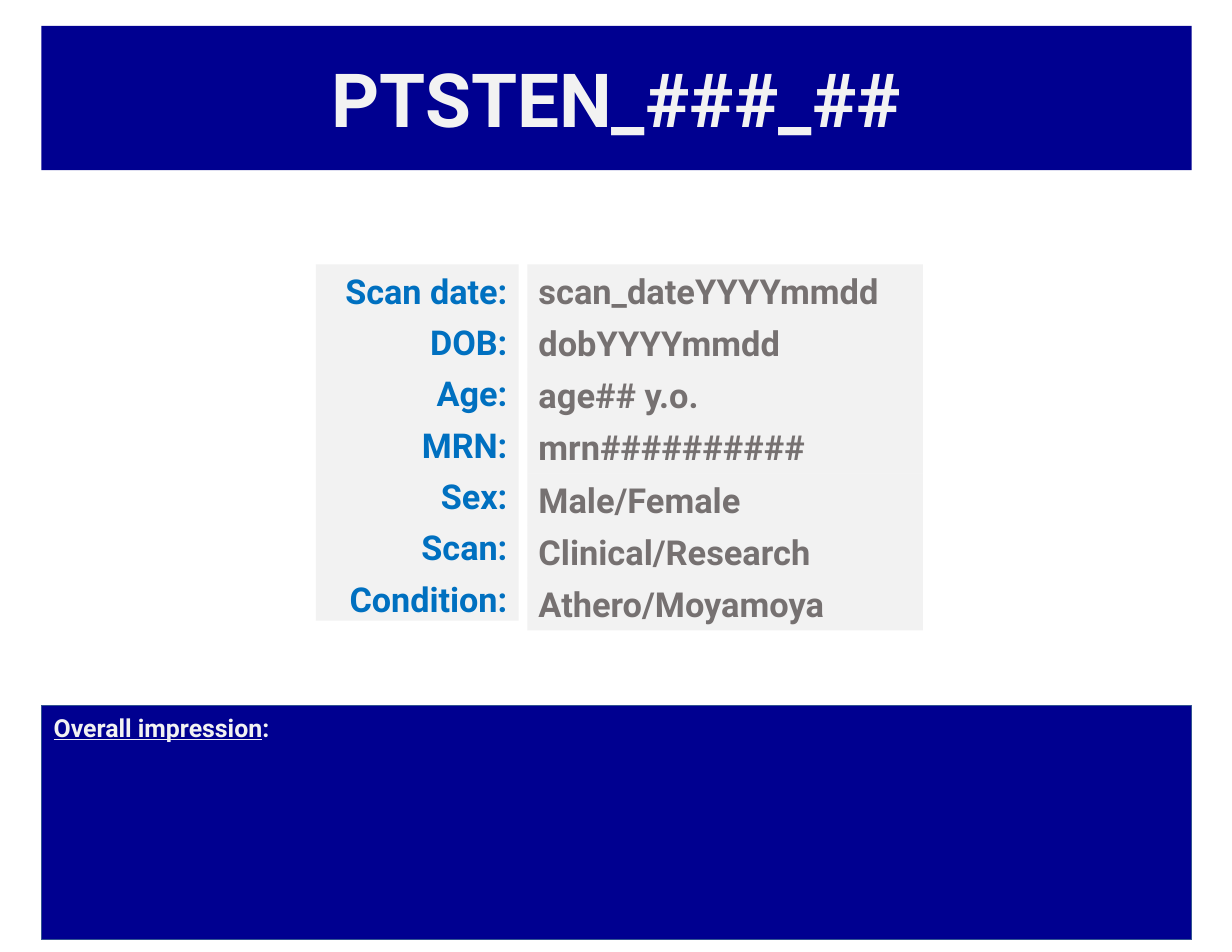
from dataclasses import dataclass

from lxml import etree
from pptx import Presentation
from pptx.dml.color import RGBColor as RGB
from pptx.enum.shapes import MSO_SHAPE as SHAPE
from pptx.enum.text import MSO_ANCHOR as ANCHOR, MSO_AUTO_SIZE as FIT, PP_ALIGN as ALIGN
from pptx.oxml.ns import qn
from pptx.util import Inches, Pt


@dataclass(frozen=True)
class Theme:
    font: str = "Roboto"
    navy: RGB = RGB(0x00, 0x00, 0x90)
    border: RGB = RGB(0x32, 0x54, 0x91)
    pale: RGB = RGB(0xF2, 0xF2, 0xF2)
    label: RGB = RGB(0x00, 0x70, 0xC0)
    value: RGB = RGB(0x76, 0x71, 0x71)
    title_size: float = 48
    label_size: float = 22
    value_size: float = 22.1
    note_size: float = 16


theme = Theme()


def add_text(p, text, *, size, color, align=ALIGN.LEFT, after=0, underline=False):
    p.alignment = align
    p.line_spacing = 1
    p.space_before = Pt(0)
    p.space_after = Pt(after)
    r = p.add_run()
    r.text = text
    r.font.name = theme.font
    r.font.size = Pt(size)
    r.font.bold = True
    r.font.underline = underline
    r.font.color.rgb = color


def set_box(sp, left, top, width, height, fill, anchor=ANCHOR.TOP, fit=FIT.NONE):
    sp.left, sp.top, sp.width, sp.height = map(Inches, (left, top, width, height))
    sp.fill.solid()
    sp.fill.fore_color.rgb = fill
    sp.line.fill.background()
    tf = sp.text_frame
    tf.word_wrap = True
    tf.auto_size = fit
    tf.vertical_anchor = anchor
    return tf


prs = Presentation()
prs.slide_width, prs.slide_height = Inches(11), Inches(8.5)
s = prs.slides.add_slide(prs.slide_layouts[1])
title, labels = s.placeholders

tf = set_box(title, 0.37, 0.23, 10.27, 1.29, theme.navy, ANCHOR.MIDDLE)
add_text(tf.paragraphs[0], "PTSTEN_###_##", size=theme.title_size,
         color=theme.pale, align=ALIGN.CENTER)

impression = s.shapes.add_shape(SHAPE.RECTANGLE, 0, 0, 0, 0)
impression.shadow.inherit = False
tf = set_box(impression, 0.37, 6.3, 10.27, 2.09, theme.navy)
impression.line.color.rgb = theme.border
impression.line.width = Pt(1)
tf.margin_left = tf.margin_right = Inches(0.11)
tf.margin_top = tf.margin_bottom = Inches(0.06)
p = tf.paragraphs[0]
add_text(p, "Overall impression", size=theme.note_size, color=theme.pale, underline=True)
add_text(p, ":", size=theme.note_size, color=theme.pale)

fields = [
    ("Scan date:", "scan_dateYYYYmmdd"),
    ("DOB:", "dobYYYYmmdd"),
    ("Age:", "age## y.o."),
    ("MRN:", "mrn##########"),
    ("Sex:", "Male/Female"),
    ("Scan:", "Clinical/Research"),
    ("Condition:", "Athero/Moyamoya"),
]
top, last_top = 2.36, 5.16
step = (last_top - top) / (len(fields) - 1)
label_tf = set_box(labels, 2.82, top, 1.81, 3.28, theme.pale, fit=FIT.SHAPE_TO_FIT_TEXT)

for i, (label, value) in enumerate(fields):
    p = label_tf.paragraphs[0] if i == 0 else label_tf.add_paragraph()
    add_text(p, label, size=theme.label_size, color=theme.label,
             align=ALIGN.RIGHT, after=6.6)
    pPr = p._p.get_or_add_pPr()
    pPr.set("marL", "0")
    pPr.set("indent", "0")
    etree.SubElement(pPr, qn("a:buNone"))

    sp = s.shapes.add_shape(SHAPE.RECTANGLE, 0, 0, 0, 0)
    sp.shadow.inherit = False
    tf = set_box(sp, 4.71, top + i * step, 3.53, 0.47, theme.pale,
                 fit=FIT.SHAPE_TO_FIT_TEXT)
    add_text(tf.paragraphs[0], value, size=theme.value_size, color=theme.value, after=6.6)

prs.save("out.pptx")
